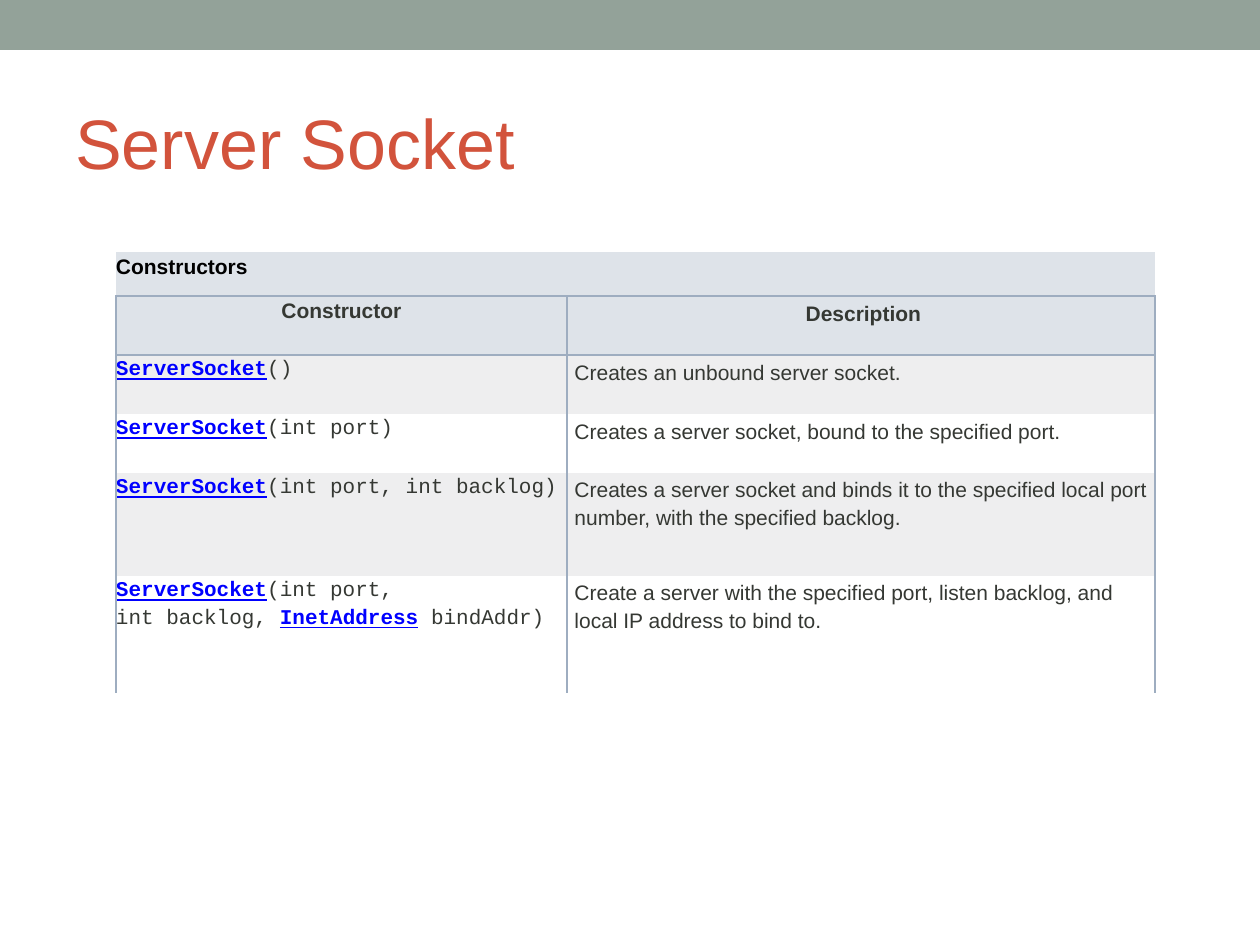
from lxml import etree
from pptx import Presentation, util as u
from pptx.dml.color import RGBColor
from pptx.enum import shapes, text
from pptx.oxml import ns

HUES = {"band": "93A299", "title": "D2533C", "head": "DEE3E9", "odd": "EEEEEF",
        "even": "FFFFFF", "rule": "9EADC0", "link": "0000FF", "body": "353833",
        "black": "000000"}
SANS, MONO = "Arial", "Courier New"
NB = chr(160)  # no-break space, keeps type and name on one line


def px(n):
    return u.Emu(round(n * 914400 / 126))


class Deck:
    def __init__(self, wide, high):
        self.prs = Presentation()
        self.prs.slide_width, self.prs.slide_height = px(wide), px(high)
        self.slide = self.prs.slides.add_slide(self.prs.slide_layouts[6])

    def hue(self, name):
        return RGBColor.from_string(HUES[name])

    def rect(self, x, y, w, h, fill):
        box = self.slide.shapes.add_shape(
            shapes.MSO_SHAPE.RECTANGLE, px(x), px(y), px(w), px(h))
        box.shadow.inherit = False
        box.fill.solid()
        box.fill.fore_color.rgb = self.hue(fill)
        box.line.fill.background()

    def run(self, para, words, size, hue, face=SANS, bold=False, line=False):
        run = para.add_run()
        run.text = words
        font = run.font
        font.size, font.name = u.Pt(size), face
        font.bold, font.underline = bold, line
        font.color.rgb = self.hue(hue)

    def title(self, x, y, w, h, words):
        box = self.slide.shapes.add_textbox(px(x), px(y), px(w), px(h))
        frame = box.text_frame
        frame.word_wrap = True
        frame.vertical_anchor = text.MSO_ANCHOR.MIDDLE
        frame.margin_left = frame.margin_right = u.Inches(0.1)
        frame.margin_top = frame.margin_bottom = u.Inches(0.1)
        self.run(frame.paragraphs[0], words, 40, "title")

    def table(self, x, y, cols, rows):
        frame = self.slide.shapes.add_table(
            len(rows), len(cols), px(x), px(y), px(sum(cols)), px(sum(rows)))
        grid = frame.table
        grid.first_row = grid.horz_banding = False
        for col, wide in zip(grid.columns, cols):
            col.width = px(wide)
        for row, high in zip(grid.rows, rows):
            row.height = px(high)
        return grid

    def edges(self, cell, sides):
        props = cell._tc.get_or_add_tcPr()
        for side in "LRTB":
            line = etree.SubElement(props, ns.qn(f"a:ln{side}"), w=str(u.Pt(1)))
            if side in sides:
                fill = etree.SubElement(line, ns.qn("a:solidFill"))
                etree.SubElement(fill, ns.qn("a:srgbClr"), val=HUES["rule"])
            else:
                etree.SubElement(line, ns.qn("a:noFill"))

    def cell(self, cell, runs, fill, sides, pads=(0, 0), center=False):
        left, rest = pads
        cell.margin_left = u.Inches(left)
        cell.margin_top = cell.margin_right = cell.margin_bottom = u.Inches(rest)
        self.edges(cell, sides)
        cell.fill.solid()
        cell.fill.fore_color.rgb = self.hue(fill)
        para = cell.text_frame.paragraphs[0]
        para.line_spacing = 1.15
        if center:
            para.alignment = text.PP_ALIGN.CENTER
        for words, style in runs:
            self.run(para, words, 12, **style)


BODY = {"hue": "body"}
HEAD = {"hue": "body", "bold": True}
CODE = {"hue": "body", "face": MONO}
LINK = {"hue": "link", "face": MONO, "bold": True, "line": True}
PADS = [(0, 0), (0.06, 0.02)]

# Arguments of each constructor, and its description
CALLS = [
    ([("()", CODE)], "Creates an unbound server socket."),
    ([(f"(int{NB}port)", CODE)],
     "Creates a server socket, bound to the specified port."),
    ([(f"(int{NB}port, int{NB}backlog)", CODE)],
     "Creates a server socket and binds it to the specified local port "
     "number, with the specified backlog."),
    ([(f"(int{NB}port, int{NB}backlog,{NB}", CODE), ("InetAddress", LINK),
      (f"{NB}bindAddr)", CODE)],
     "Create a server with the specified port, listen backlog, and "
     "local IP address to bind to."),
]


def main():
    deck = Deck(1260, 945)

    # Top band and title
    deck.rect(0, 0, 1260, 50, "band")
    deck.title(63, 73, 1134, 136, "Server Socket")

    # Table caption across both columns
    grid = deck.table(116, 252, [451, 588], [44, 59, 59, 59, 103, 117])
    grid.cell(0, 0).merge(grid.cell(0, 1))
    deck.cell(grid.cell(0, 0),
              [(f"Constructors{NB}", {"hue": "black", "bold": True})], "head", "B")
    deck.cell(grid.cell(0, 1), [], "head", "B")

    # Column heads
    for col, name in enumerate(["Constructor", "Description"]):
        deck.cell(grid.cell(1, col), [(name, HEAD)], "head", "LRTB",
                  PADS[col], center=True)

    # One row for each constructor
    for row, (args, about) in enumerate(CALLS, 2):
        fill = "even" if row % 2 else "odd"
        sides = "LRT" if row == 2 else "LR"
        pair = [[("ServerSocket", LINK)] + args, [(about, BODY)]]
        for col, runs in enumerate(pair):
            deck.cell(grid.cell(row, col), runs, fill, sides, PADS[col])

    deck.prs.save("out.pptx")


if __name__ == "__main__":
    main()
